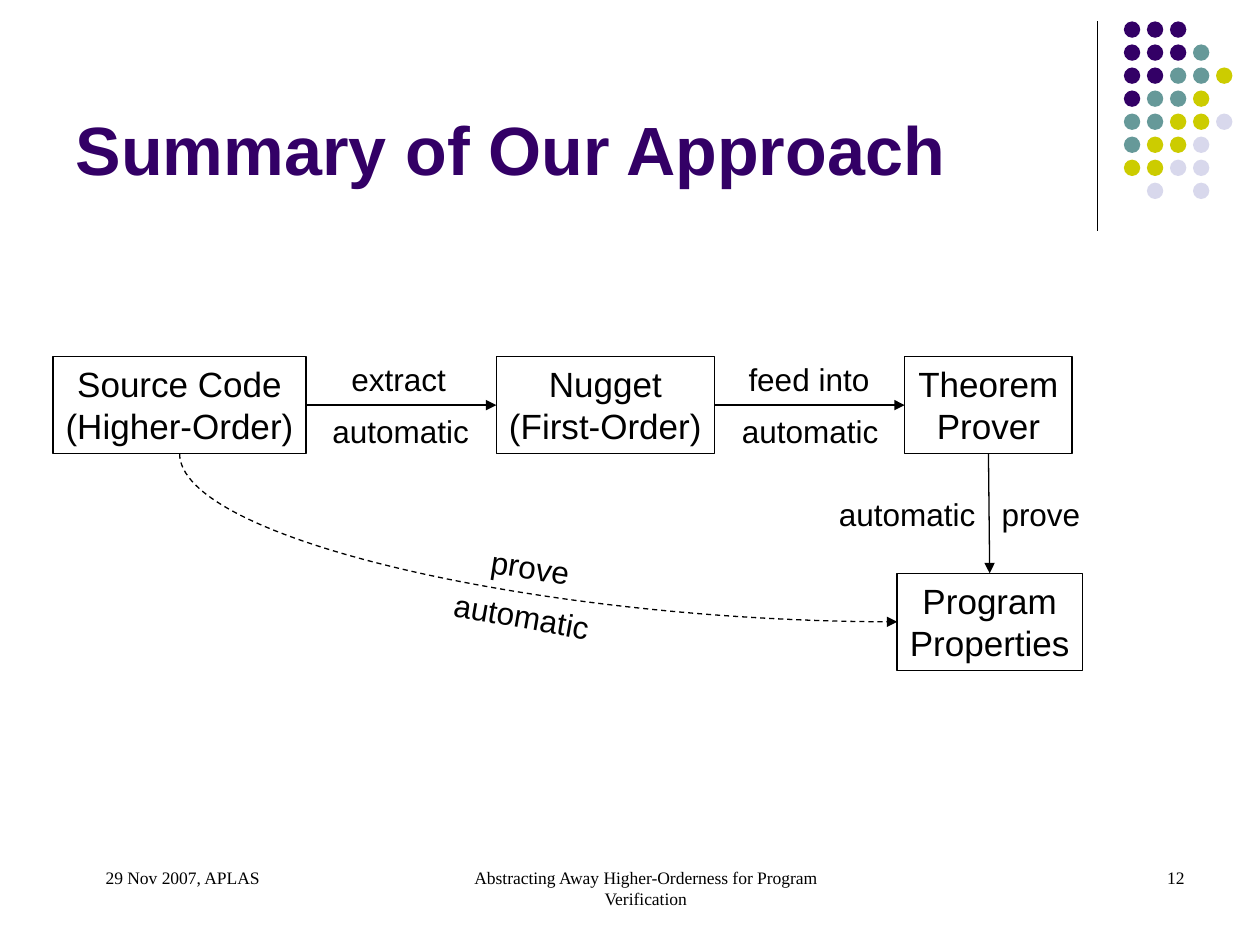
from lxml import etree
from pptx import Presentation
from pptx import util as u
from pptx.dml import color
from pptx.enum import dml, shapes, text
from pptx.oxml import ns

BLACK = "000000"
PURPLE = "330066"
DOT_COLOURS = {"P": PURPLE, "T": "669999", "Y": "CCCC00", "L": "D8D8EC"}
DOT_ROWS = ["PPP", "PPPT", "PPTTY", "PTTY", "TTYYL", "TYYL", "YYLL", " L L"]
DOT_PITCH = 1.28 / 7
DOT_SIZE = 0.13
TOP, LEFT, BOTTOM, RIGHT = range(4)


def rgb(value):
    return color.RGBColor.from_string(value)


def place(shape, left, top, width, height):
    shape.left, shape.top = u.Inches(left), u.Inches(top)
    shape.width, shape.height = u.Inches(width), u.Inches(height)


def write(shape, content, size=18, font="Arial", colour=BLACK, bold=False,
          align="LEFT", anchor="TOP", wrap=False, indent=0):
    frame = shape.text_frame
    frame.text = content
    frame.word_wrap = wrap
    frame.auto_size = text.MSO_AUTO_SIZE.NONE
    frame.vertical_anchor = text.MSO_ANCHOR[anchor]
    for para in frame.paragraphs:
        para.alignment = text.PP_ALIGN[align]
        if indent:
            para._p.get_or_add_pPr().set("marL", str(u.Inches(indent)))
        for span in para.runs:
            span.font.name = font
            span.font.size = u.Pt(size)
            span.font.bold = bold
            span.font.color.rgb = rgb(colour)


def add_title(page, content):
    title = page.shapes.title
    place(title, 0.5, 0.13, 8.25, 1.42)
    write(title, content, size=39, colour=PURPLE, bold=True,
          anchor="BOTTOM", wrap=True)


def add_label(page, content, left, top, width, height=0.4, rotation=0, **style):
    label = page.shapes.add_textbox(0, 0, 0, 0)
    write(label, content, **style)
    place(label, left, top, width, height)
    label.rotation = rotation


def add_box(page, content, left, top, width):
    box = page.shapes.add_shape(shapes.MSO_SHAPE.RECTANGLE, 0, 0, 0, 0)
    box.shadow.inherit = False
    box.fill.background()
    box.line.color.rgb = rgb(BLACK)
    box.line.width = u.Pt(0.75)
    write(box, content, size=20, align="CENTER")
    place(box, left, top, width, 0.77)
    return box


def add_dots(page):
    for row, letters in enumerate(DOT_ROWS):
        for column, letter in enumerate(letters):
            if letter == " ":
                continue
            dot = page.shapes.add_shape(shapes.MSO_SHAPE.OVAL, 0, 0, 0, 0)
            place(dot, 8.92 + column * DOT_PITCH, 0.17 + row * DOT_PITCH,
                  DOT_SIZE, DOT_SIZE)
            dot.shadow.inherit = False
            dot.fill.solid()
            dot.fill.fore_color.rgb = rgb(DOT_COLOURS[letter])
            dot.line.fill.background()


def add_line(page, kind="STRAIGHT", start=(0, 0), end=(0, 0)):
    points = [u.Inches(value) for value in (*start, *end)]
    line = page.shapes.add_connector(shapes.MSO_CONNECTOR[kind], *points)
    line.line.color.rgb = rgb(BLACK)
    line.line.width = u.Pt(0.75)
    etree.SubElement(line._element.spPr, ns.qn("a:effectLst"))
    return line


def add_arrow(page, source, source_side, target, target_side, kind="STRAIGHT"):
    arrow = add_line(page, kind)
    arrow.begin_connect(source, source_side)
    arrow.end_connect(target, target_side)
    head = etree.SubElement(arrow.line._get_or_add_ln(), ns.qn("a:tailEnd"))
    head.set("type", "triangle")
    return arrow


def add_dashed_curve(page, source, target):
    curve = add_arrow(page, source, BOTTOM, target, LEFT, kind="CURVE")
    curve.line.dash_style = dml.MSO_LINE.DASH
    across, down = curve.width, curve.height
    curve.left += (across - down) // 2
    curve.top += (down - across) // 2
    curve.width, curve.height = down, across
    properties = curve._element.spPr
    frame = properties.find(ns.qn("a:xfrm"))
    frame.set("rot", str(270 * 60000))
    frame.set("flipH", "1")
    properties.find(ns.qn("a:prstGeom")).set("prst", "curvedConnector2")


def add_footer(page, content, left, width, align):
    add_label(page, content, left, 6.83, width, 0.5, size=10,
              font="Times New Roman", align=align, wrap=True, indent=0.24)


def main():
    deck = Presentation()
    deck.slide_width, deck.slide_height = u.Inches(10), u.Inches(7.5)
    page = deck.slides.add_slide(deck.slide_layouts[5])

    add_line(page, start=(8.71, 0.17), end=(8.71, 1.83))
    add_dots(page)
    add_title(page, "Summary of Our Approach")

    code = add_box(page, "Source Code\n(Higher-Order)", 0.42, 2.83, 2.01)
    nugget = add_box(page, "Nugget\n(First-Order)", 3.94, 2.83, 1.73)
    prover = add_box(page, "Theorem\nProver", 7.18, 2.83, 1.33)
    goal = add_box(page, "Program\nProperties", 7.12, 4.55, 1.47)

    add_arrow(page, code, RIGHT, nugget, LEFT)
    add_arrow(page, nugget, RIGHT, prover, LEFT)
    add_arrow(page, prover, BOTTOM, goal, TOP)
    add_dashed_curve(page, code, goal)

    add_label(page, "extract", 2.68, 2.81, 0.97, align="CENTER")
    add_label(page, "feed into", 5.83, 2.81, 1.18, align="CENTER")
    add_label(page, "prove", 7.85, 3.88, 0.85)
    add_label(page, "prove", 3.79, 4.3, 0.84, rotation=9, align="CENTER")
    add_label(page, "automatic", 3.5, 4.69, 1.3, rotation=10)
    for left, top in [(2.53, 3.22), (5.78, 3.22), (6.55, 3.88)]:
        add_label(page, "automatic", left, top, 1.3, align="CENTER")

    add_footer(page, "29 Nov 2007, APLAS", 0.5, 2.33, "LEFT")
    add_footer(page, "Abstracting Away Higher-Orderness for Program Verification",
               3.42, 3.17, "CENTER")
    add_footer(page, "12", 7.17, 2.33, "RIGHT")
    deck.save("out.pptx")


if __name__ == "__main__":
    main()
